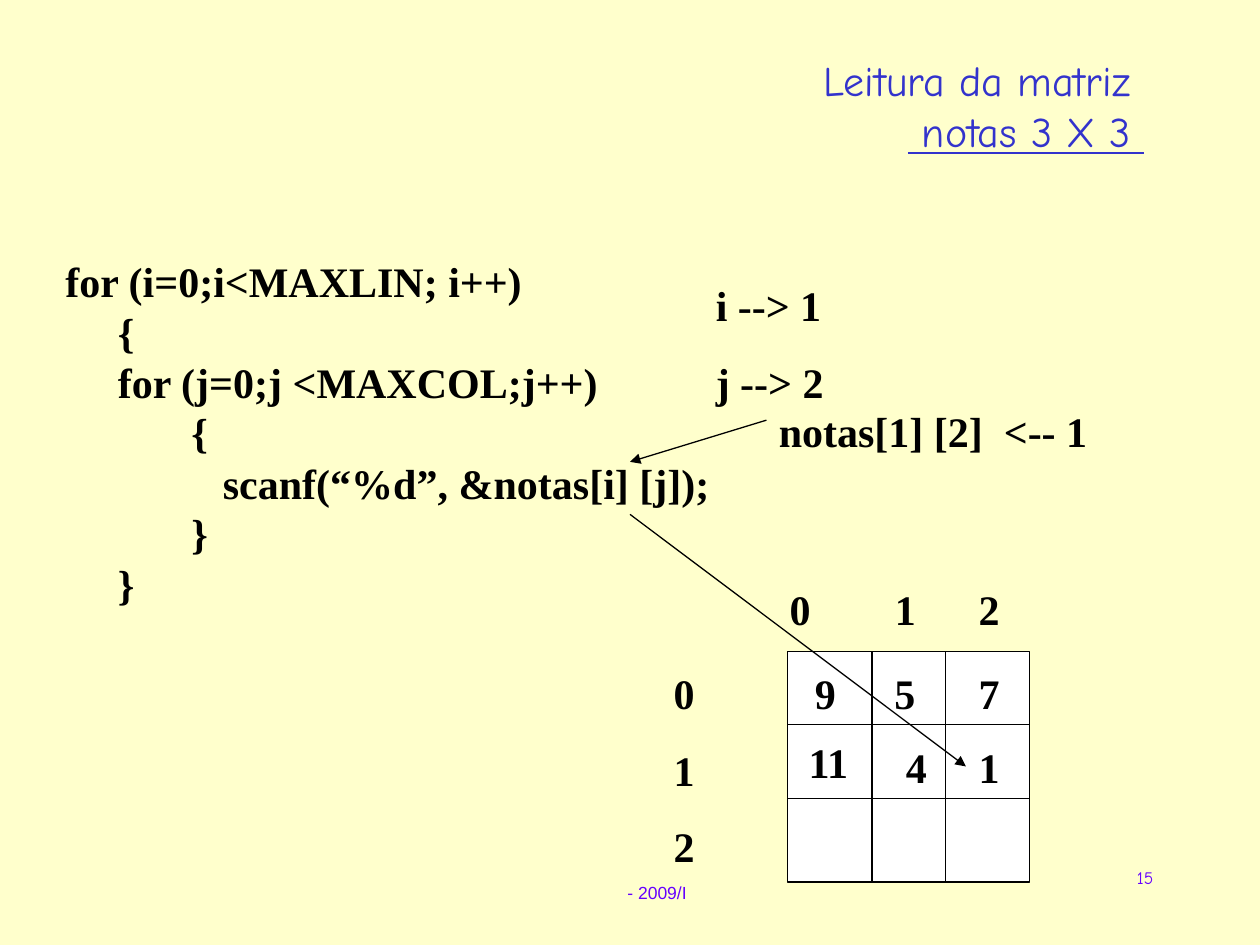
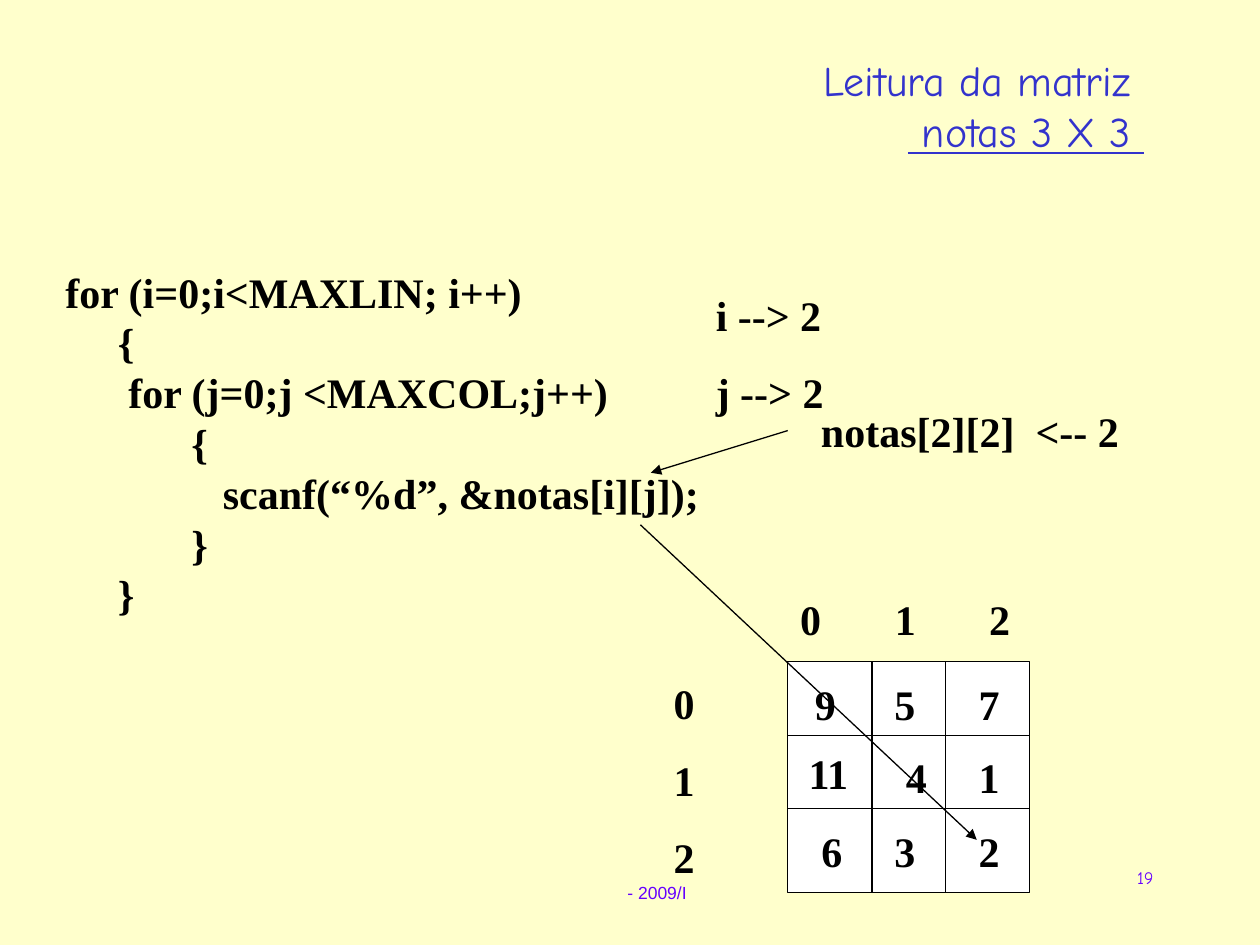
from lxml.etree import SubElement
from pptx import Presentation
from pptx.dml.color import RGBColor as RGB
from pptx.enum.shapes import MSO_CONNECTOR as CONN, MSO_SHAPE as SHAPE
from pptx.enum.text import MSO_ANCHOR as ANCHOR, PP_ALIGN as ALIGN
from pptx.oxml.ns import qn
from pptx.util import Cm, Pt

COLORS = {"page": "FFFFCC", "cell": "FFFFFF", "ink": "000000",
          "title": "3333CC", "footer": "6600FF"}
SERIF, COMIC, SANS = "Times New Roman", "Comic Neue", "Arial"

# Matrix geometry in cm; the first slide's top, shifted by "dy" on each slide
LEFT, TOP, WIDTH, HEIGHT = 15.88, 13.13, 4.87, 4.65
ROW_LINES, COLUMN_LINES = (1.48, 2.96), (1.7, 3.18)
DIGIT_LEFTS = [(16.18, 17.78, 19.48), (16.05, 18.01, 19.48), (16.31, 17.78, 19.48)]
DIGIT_TOPS = [(13.34, 13.34, 13.34), (14.73, 14.82, 14.82), (16.3, 16.3, 16.3)]

CODE = """for (i=0;i<MAXLIN; i++)
     {
{inner}for (j=0;j <MAXCOL;j++)
         \t{
     \t   scanf(“%d”, &{target});
\t}
     }"""

STEPS = [
    dict(number="15", dy=0, inner="     ", target="notas[i] [j]",
         i="1", j="2", assign="notas[1] [2]  <-- 1", assign_left=15.45,
         head_left=15.67, head_tabs=(2.12, 3.81),
         matrix=[["9", "5", "7"], ["11", "4", "1"]],
         arrows=[(15.45, 8.47, 12.7, 9.31), (12.7, 10.37, 19.47, 15.45)]),
    dict(number="19", dy=0.21, inner="      ", target="notas[i][j]",
         i="2", j="2", assign="notas[2][2]  <-- 2", assign_left=16.3,
         head_left=15.88, head_tabs=(1.91, 3.81),
         matrix=[["9", "5", "7"], ["11", "4", "1"], ["6", "3", "2"]],
         arrows=[(15.88, 8.68, 13.12, 9.53), (12.91, 10.58, 19.69, 16.93)]),
]


def write(tf, text, size=24, font=SERIF, color="ink", bold=True,
          align=ALIGN.LEFT, before=0, leading=28.8, tabs=()):
    """Fill a text frame, one paragraph per line of text; tabs are in cm."""
    tf.word_wrap = True
    for n, line in enumerate(text.split("\n")):
        p = tf.paragraphs[0] if n == 0 else tf.add_paragraph()
        p.alignment = align
        p.line_spacing = Pt(leading)
        p.space_before = Pt(before if n else 0)
        if tabs:
            stops = SubElement(p._p.get_or_add_pPr(), qn("a:tabLst"))
            for tab in tabs:
                SubElement(stops, qn("a:tab"), pos=str(Cm(tab)), algn="l")
        r = p.add_run()
        r.text = line
        r.font.size, r.font.name, r.font.bold = Pt(size), font, bold
        r.font.color.rgb = RGB.from_string(COLORS[color])


def draw_line(s, ends, arrow=False):
    line = s.shapes.add_connector(CONN.STRAIGHT, *map(Cm, ends))
    line.line.width = Pt(0.75)
    line.line.color.rgb = RGB.from_string(COLORS["ink"])
    if arrow:
        SubElement(line.line._get_or_add_ln(), qn("a:tailEnd"), type="triangle")
    SubElement(line._element.spPr, qn("a:effectLst"))


prs = Presentation()
prs.slide_width, prs.slide_height = Cm(25.4), Cm(19.05)
page = prs.slide_master.background.fill
page.solid()
page.fore_color.rgb = RGB.from_string(COLORS["page"])

for step in STEPS:
    s = prs.slides.add_slide(prs.slide_layouts[5])
    dy = step["dy"]
    top = TOP + dy

    # Title: second line indented and underlined
    title = s.shapes.title
    title.left, title.top, title.width, title.height = Cm(16.35), Cm(0.97), Cm(7.02), Cm(2.29)
    title.fill.solid()
    title.fill.fore_color.rgb = RGB.from_string(COLORS["page"])
    tf = title.text_frame
    write(tf, "Leitura da matriz\n notas 3 X 3 ", font=COMIC, color="title",
          bold=False, leading=29)
    tf.vertical_anchor = ANCHOR.TOP
    p = tf.paragraphs[1]
    p._p.get_or_add_pPr().set("marL", str(Cm(1.7)))
    p.runs[0].font.underline = True

    # Matrix grid
    grid = s.shapes.add_shape(SHAPE.RECTANGLE, Cm(LEFT), Cm(top), Cm(WIDTH), Cm(HEIGHT))
    grid.shadow.inherit = False
    grid.fill.solid()
    grid.fill.fore_color.rgb = RGB.from_string(COLORS["cell"])
    grid.line.color.rgb = RGB.from_string(COLORS["ink"])
    grid.line.width = Pt(0.75)
    for y in ROW_LINES:
        draw_line(s, (LEFT, top + y, LEFT + WIDTH, top + y))
    for x in COLUMN_LINES:
        draw_line(s, (LEFT + x, top, LEFT + x, top + HEIGHT))

    # Code, variable values, matrix indices, footer and matrix digits
    code = CODE.replace("{inner}", step["inner"]).replace("{target}", step["target"])
    small = dict(size=10, color="footer", bold=False, leading=12)
    texts = [
        (code, 1.07, 5.03 + dy, 13.49, 7.37, dict(tabs=(2.54,))),
        (f"i --> {step['i']}\nj --> {step['j']}", 14.18, 5.51 + dy, 9.95, 2.82, dict(before=15)),
        (step["assign"], step["assign_left"], 8.05, 7.4, 1.27, {}),
        ("0\t1\t2", step["head_left"], 11.63 + dy, 5.08, 1.27, dict(tabs=step["head_tabs"])),
        ("0\n1\n2", 13.33, 13.33 + dy, 1.27, 4.37, dict(before=15)),
        ("- 2009/I", 12.4, 17.65, 2, 0.69, dict(small, font=SANS)),
        (step["number"], 18.21, 17.35, 5.29, 1.27, dict(small, font=COMIC, align=ALIGN.RIGHT)),
    ]
    for digits, lefts, tops in zip(step["matrix"], DIGIT_LEFTS, DIGIT_TOPS):
        for digit, x, y in zip(digits, lefts, tops):
            texts.append((digit, x, y + dy, 0.5 + 0.43 * len(digit), 1.27, {}))
    for text, x, y, width, height, fmt in texts:
        sp = s.shapes.add_textbox(Cm(x), Cm(y), Cm(width), Cm(height))
        write(sp.text_frame, text, **fmt)

    # Arrows: value into scanf, scanf into its matrix cell
    for ends in step["arrows"]:
        draw_line(s, ends, arrow=True)

prs.save("out.pptx")
